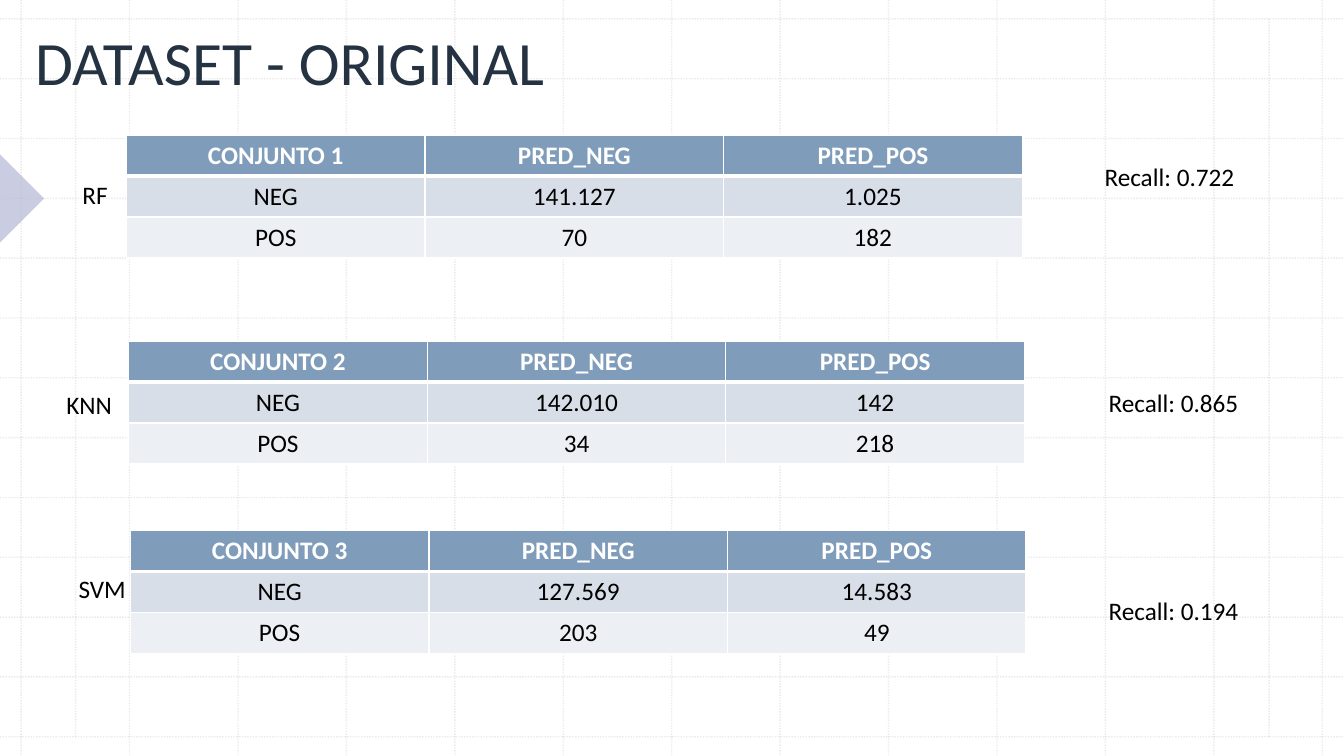
from pptx import Presentation
from pptx.dml.color import RGBColor
from pptx.enum import dml, shapes, text
from pptx.oxml import parse_xml
from pptx.oxml.ns import nsdecls, qn
from pptx.util import Pt

NS = nsdecls("a")


def color(hex_string):
    return RGBColor.from_string(hex_string)


def write(frame, content, size=18, ink="000000", bold=False,
          align=text.PP_ALIGN.LEFT, spacing=None):
    para = frame.paragraphs[0]
    para.alignment = align
    para.line_spacing = spacing
    span = para.add_run()
    span.text = content
    span.font.name = "Calibri"
    span.font.size = Pt(size)
    span.font.bold = bold
    span.font.color.rgb = color(ink)


deck = Presentation()
deck.slide_width, deck.slide_height = Pt(960), Pt(540)
page = deck.slides.add_slide(deck.slide_layouts[6])

# Triangle on the left edge
marker = page.shapes.add_shape(shapes.MSO_SHAPE.RIGHT_TRIANGLE,
                               Pt(-22.3), Pt(119.5), Pt(44.6), Pt(44.6))
marker.rotation = 225
marker.shadow.inherit = False
marker.line.fill.background()
marker.fill.solid()
marker.fill.fore_color.rgb = color("969AC6")
marker.fill._xPr.find(".//" + qn("a:srgbClr")).append(
    parse_xml(f'<a:alpha {NS} val="50000"/>'))

# Dotted background grid
top, bottom = 13.5, 526.3
grid = [(15.1 + 77.45 * i, 0, 15.1 + 77.45 * i, 540) for i in range(13)]
grid += [(0, top + 42.73 * i, 960, top + 42.73 * i) for i in range(13)]
grid += [(x, top, x, bottom) for x in (54, 906.5)]
for ends in grid:
    rule = page.shapes.add_connector(shapes.MSO_CONNECTOR.STRAIGHT,
                                     *[Pt(value) for value in ends])
    rule.line.width = Pt(1)
    rule.line.color.rgb = color("BCBCBC")
    rule.line.dash_style = dml.MSO_LINE.ROUND_DOT
    properties = rule._element.spPr
    properties.find(".//" + qn("a:srgbClr")).append(
        parse_xml(f'<a:alpha {NS} val="30000"/>'))
    properties.append(parse_xml(f"<a:effectLst {NS}/>"))

# Title
title = page.shapes.add_textbox(Pt(18), Pt(11.5), Pt(924.5), Pt(70.6))
title.text_frame.word_wrap = True
title.text_frame.vertical_anchor = text.MSO_ANCHOR.MIDDLE
write(title.text_frame, "DATASET - ORIGINAL", size=44, ink="243241", spacing=0.9)

# Confusion matrices: left, top, NEG counts, POS counts
matrices = [
    (90.3, 96.5, ("141.127", "1.025"), ("70", "182")),
    (91.9, 243.6, ("142.010", "142"), ("34", "218")),
    (93.1, 379, ("127.569", "14.583"), ("203", "49")),
]
row_fills = ["7F9CBA", "D8DEE7", "ECEFF3"]
for number, (left, top, negatives, positives) in enumerate(matrices, 1):
    rows = [(f"CONJUNTO {number}", "PRED_NEG", "PRED_POS"),
            ("NEG", *negatives), ("POS", *positives)]
    table = page.shapes.add_table(3, 3, Pt(left), Pt(top), Pt(639.9), Pt(87.9)).table
    for column in table.columns:
        column.width = Pt(213.3)
    for r, values in enumerate(rows):
        table.rows[r].height = Pt(29.3)
        for c, value in enumerate(values):
            cell = table.cell(r, c)
            for side in "LRTB":
                thick = (r, side) in ((0, "B"), (1, "T"))
                cell._tc.get_or_add_tcPr().append(parse_xml(
                    f'<a:ln{side} {NS} w="{Pt(3 if thick else 1)}"><a:solidFill>'
                    f'<a:srgbClr val="FFFFFF"/></a:solidFill></a:ln{side}>'))
            cell.fill.solid()
            cell.fill.fore_color.rgb = color(row_fills[r])
            write(cell.text_frame, value, ink="000000" if r else "FFFFFF",
                  bold=r == 0, align=text.PP_ALIGN.CENTER)

# Model names and recall scores
labels = [
    ("RF", 51.8, 124.6, 36.7), ("KNN", 40.3, 274.3, 51.8), ("SVM", 49, 406.1, 51.1),
    ("Recall: 0.722", 781.9, 111.6, 118.8),
    ("Recall: 0.865", 784.8, 272.9, 118.8),
    ("Recall: 0.194", 784.8, 421.9, 118.8),
]
for content, left, top, width in labels:
    box = page.shapes.add_textbox(Pt(left), Pt(top), Pt(width), Pt(29))
    box.text_frame.word_wrap = False
    write(box.text_frame, content)

deck.save("out.pptx")
